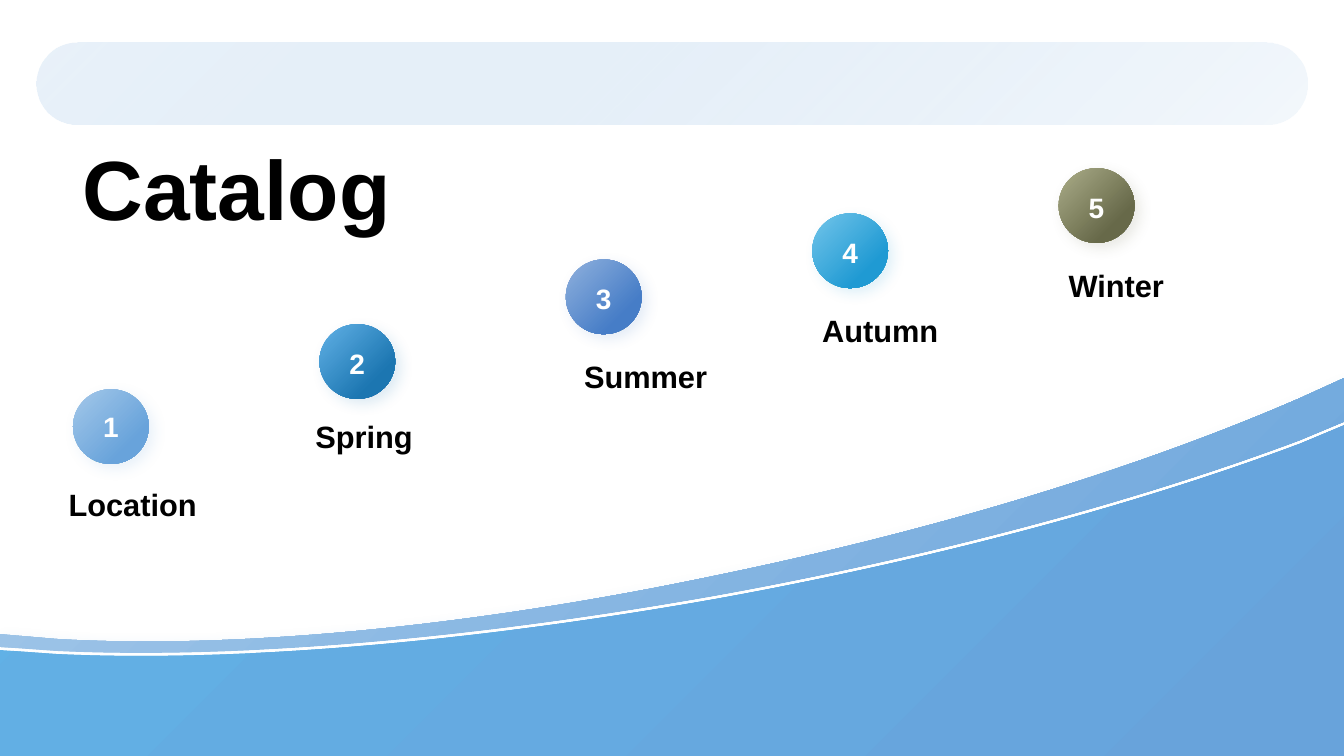
from dataclasses import dataclass

from lxml.etree import SubElement
from pptx import Presentation
from pptx.dml.color import RGBColor
from pptx.enum.shapes import MSO_CONNECTOR, MSO_SHAPE
from pptx.enum.text import MSO_ANCHOR, PP_ALIGN
from pptx.oxml.ns import qn
from pptx.shapes.autoshape import Shape
from pptx.slide import Slide
from pptx.text.text import TextFrame
from pptx.util import Cm, Pt

WIDTH, HEIGHT = 33.87, 19.05
COLORS = {
    "sky": "A4C8E9", "blue": "68A3DB", "pale": "E1EDF8",
    "azure": "61B1E6", "ocean": "1C76B1",
    "mist": "90B1DD", "royal": "467DC7",
    "aqua": "73C5EA", "cyan": "1F9AD3",
    "sage": "ABAD89", "olive": "676949",
    "white": "FFFFFF", "black": "000000",
}


@dataclass
class Season:
    name: str
    light: str
    dark: str
    top: float
    text_left: float
    text_top: float
    spacing: float = 1.1


@dataclass
class Wave:
    """Edge heights, from the right corner via the left side and back."""
    right: float
    left: float
    start: float
    bends: tuple[float, ...]
    light: str


@dataclass
class Shadow:
    color: str
    alpha: int
    blur: float
    dist: float
    angle: int


SEASONS = [
    Season("Location", "sky", "blue", 9.81, 1.48, 12.12, 1.0),
    Season("Spring", "azure", "ocean", 8.17, 7.7, 10.41),
    Season("Summer", "mist", "royal", 6.54, 14.47, 8.89),
    Season("Autumn", "aqua", "cyan", 5.38, 20.47, 7.72),
    Season("Winter", "sage", "olive", 4.24, 26.68, 6.59),
]
BALL_LEFT, BALL_STEP = 1.84, 6.21
BALL_WIDTH, BALL_HEIGHT = 1.91, 1.88
STEM_LEFT, STEM_DROP, STEM_FOOT = 0.35, 4.48, 17.25

START_X = 1.4
BEND_XS = (5.74, 11.63, 18.06, 23.7, 28.8, 32.77)
BACK = Wave(9.53, 15.98, 16.1, (16.36, 15.85, 14.5, 13.34, 11.76, 10.03), "sky")
FRONT = Wave(10.72, 16.38, 16.48, (16.69, 16.23, 15.09, 14.07, 12.67, 11.18), "azure")


def paint(shape: Shape, light: str, dark: str, end: float = 1.0,
          alphas: tuple[int, ...] = ()) -> None:
    """Fill with a diagonal gradient, without outline or shadow."""
    shape.fill.gradient()
    shape.fill.gradient_angle = 315
    for stop, name, place in zip(shape.fill.gradient_stops, (light, dark), (0, end)):
        stop.color.rgb = RGBColor.from_string(COLORS[name])
        stop.position = place
    for color, alpha in zip(shape.element.iter(qn("a:srgbClr")), alphas):
        SubElement(color, qn("a:alpha"), val=str(alpha * 1000))
    shape.line.fill.background()
    shape.shadow.inherit = False


def cast(shape: Shape, shadow: Shadow) -> None:
    effects = shape.element.spPr.find(qn("a:effectLst"))
    outer = SubElement(effects, qn("a:outerShdw"), blurRad=str(Pt(shadow.blur)),
                       dist=str(Pt(shadow.dist)), dir=str(shadow.angle * 60000),
                       algn="ctr", rotWithShape="0")
    color = SubElement(outer, qn("a:srgbClr"), val=COLORS[shadow.color])
    SubElement(color, qn("a:alpha"), val=str(shadow.alpha * 1000))


def soft(color: str) -> Shadow:
    return Shadow(color, 15, 10, 5, 45)


def write(frame: TextFrame, text: str, size: int, color: str) -> None:
    line = frame.paragraphs[0]
    line.text = text
    line.font.name = "Arial"
    line.font.size = Pt(size)
    line.font.bold = True
    line.font.color.rgb = RGBColor.from_string(COLORS[color])


def add_text(slide: Slide, text: str, size: int, left: float, top: float,
             width: float, height: float) -> TextFrame:
    frame = slide.shapes.add_textbox(Cm(left), Cm(top), Cm(width), Cm(height)).text_frame
    frame.word_wrap = True
    write(frame, text, size, "black")
    return frame


def add_pill(slide: Slide, left: float, top: float, width: float, height: float) -> Shape:
    pill = slide.shapes.add_shape(
        MSO_SHAPE.ROUNDED_RECTANGLE, Cm(left), Cm(top), Cm(width), Cm(height))
    pill.adjustments[0] = 0.5
    return pill


def add_stem(slide: Slide, x: float, top: float) -> None:
    """Draw an upright line that fades in from nothing and ends in a dot."""
    stem = slide.shapes.add_connector(
        MSO_CONNECTOR.STRAIGHT, Cm(x), Cm(STEM_FOOT), Cm(x), Cm(top))
    stem.line.width = Pt(1)
    line = stem.line.fill and stem.element.spPr.find(qn("a:ln"))
    fade = SubElement(line, qn("a:gradFill"))
    stops = SubElement(fade, qn("a:gsLst"))
    for place, alpha in ((0, 0), (100, 100)):
        stop = SubElement(stops, qn("a:gs"), pos=str(place * 1000))
        color = SubElement(stop, qn("a:srgbClr"), val=COLORS["blue"])
        SubElement(color, qn("a:alpha"), val=str(alpha * 1000))
    SubElement(fade, qn("a:lin"), ang=str(270 * 60000), scaled="0")
    SubElement(line, qn("a:tailEnd"), type="oval")
    SubElement(stem.element.spPr, qn("a:effectLst"))


def add_season(slide: Slide, index: int, season: Season) -> None:
    left = BALL_LEFT + index * BALL_STEP
    add_text(slide, season.name, 22, season.text_left, season.text_top, 5.87, 1.88)
    add_stem(slide, left + STEM_LEFT, season.top + STEM_DROP)
    ball = add_pill(slide, left, season.top, BALL_WIDTH, BALL_HEIGHT)
    paint(ball, season.light, season.dark, 0.75)
    cast(ball, soft(season.dark))
    frame = ball.text_frame
    frame.word_wrap = False
    frame.vertical_anchor = MSO_ANCHOR.MIDDLE
    write(frame, str(index + 1), 20, "white")
    frame.paragraphs[0].alignment = PP_ALIGN.CENTER
    frame.paragraphs[0].line_spacing = season.spacing


def bend(shape: Shape, first: int) -> None:
    """Turn the straight segments from the given one on into cubic curves."""
    lines = list(shape.element.iter(qn("a:lnTo")))[first:]
    for start in range(0, len(lines), 3):
        cubic = lines[start].makeelement(qn("a:cubicBezTo"))
        lines[start].addprevious(cubic)
        for line in lines[start:start + 3]:
            cubic.append(line[0])
            line.getparent().remove(line)


def add_wave(slide: Slide, wave: Wave, shadow: Shadow) -> None:
    edge = [(WIDTH, HEIGHT), (0, HEIGHT), (0, wave.left), (START_X, wave.start)]
    points = edge + list(zip(BEND_XS, wave.bends))
    form = slide.shapes.build_freeform(Cm(WIDTH), Cm(wave.right))
    form.add_line_segments([(Cm(x), Cm(y)) for x, y in points], close=True)
    shape = form.convert_to_shape()
    bend(shape, len(edge))
    paint(shape, wave.light, "blue")
    cast(shape, shadow)


def main() -> None:
    deck = Presentation()
    deck.slide_width, deck.slide_height = Cm(WIDTH), Cm(HEIGHT)
    slide = deck.slides.add_slide(deck.slide_layouts[6])
    banner = add_pill(slide, 0.93, 1.07, 32.02, 2.07)
    paint(banner, "blue", "pale", alphas=(15, 40))
    for index, season in enumerate(SEASONS):
        add_season(slide, index, season)
    title = add_text(slide, "Catalog", 60, 1.83, 3.18, 15.62, 3.05)
    title.vertical_anchor = MSO_ANCHOR.MIDDLE
    add_wave(slide, BACK, soft("blue"))
    add_wave(slide, FRONT, Shadow("white", 100, 0, 2, 270))
    deck.save("out.pptx")


if __name__ == "__main__":
    main()
